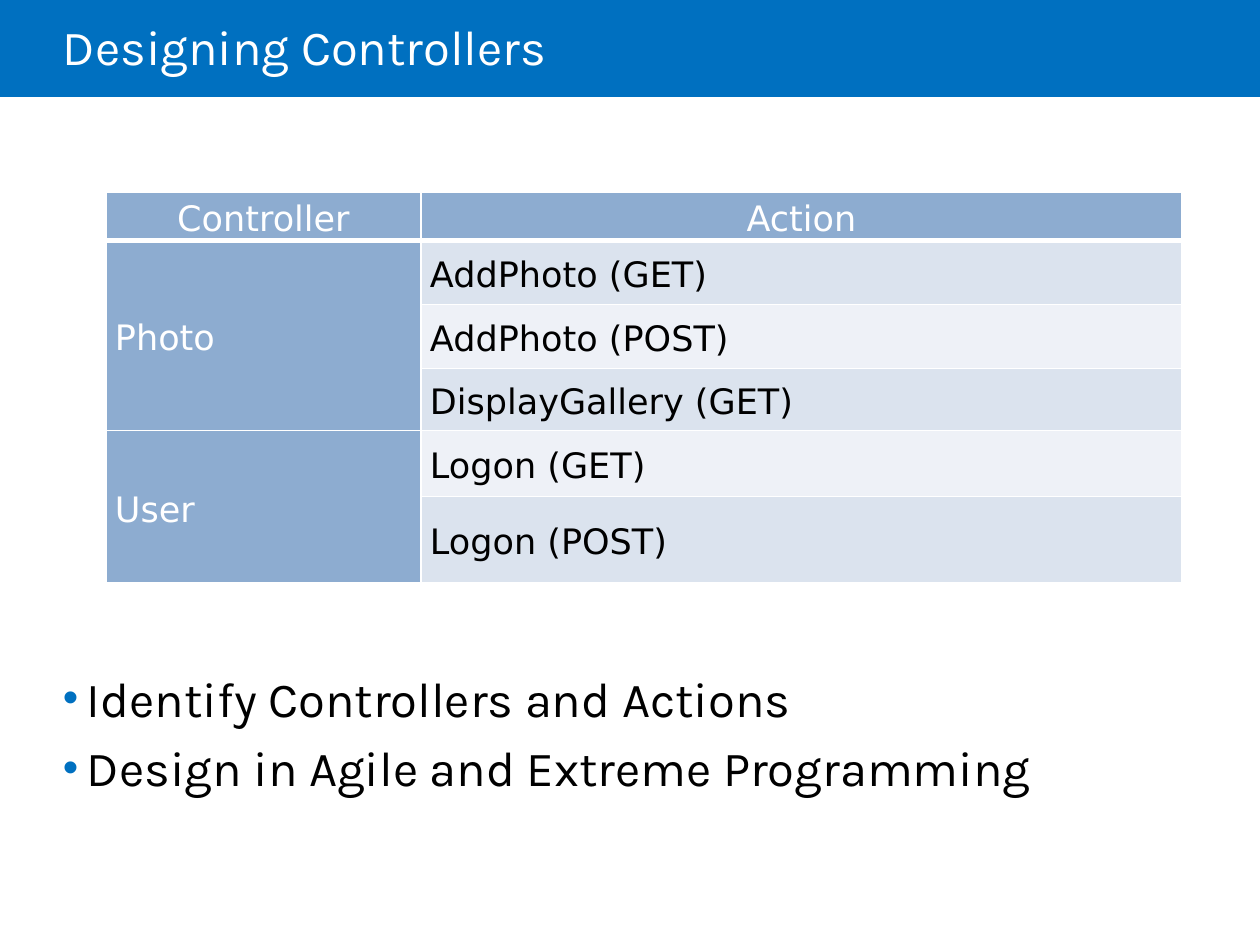
import lxml.etree
import pptx
import pptx.dml.color
import pptx.enum.shapes
import pptx.enum.text
import pptx.oxml.ns
import pptx.util

EMU_PER_PX = 914400 / 126
COLORS = {
    "blue": "0070C0",
    "white": "FFFFFF",
    "black": "000000",
    "header": "8DACD0",
    "odd": "DBE3EE",
    "even": "EEF1F7",
}
ALIGN = pptx.enum.text.PP_ALIGN
ANCHOR = pptx.enum.text.MSO_ANCHOR
CONTROLLERS = [
    ("Photo", ["AddPhoto (GET)", "AddPhoto (POST)", "DisplayGallery (GET)"]),
    ("User", ["Logon (GET)", "Logon (POST)"]),
]


def px(length):
    return pptx.util.Emu(round(length * EMU_PER_PX))


def rgb(color):
    return pptx.dml.color.RGBColor.from_string(COLORS[color])


def add_element(parent, tag, **attributes):
    return lxml.etree.SubElement(parent, pptx.oxml.ns.qn(tag), attributes)


def add_run(paragraph, text, size, font, color):
    run = paragraph.add_run()
    run.text = text
    run.font.size = pptx.util.Pt(size)
    run.font.name = font
    run.font.color.rgb = rgb(color)


def add_text_frame(slide, left, top, width, height, right_inset=0, vertical_inset=0):
    shape = slide.shapes.add_textbox(px(left), px(top), px(width), px(height))
    frame = shape.text_frame
    frame.word_wrap = True
    frame.margin_left = 0
    frame.margin_right = px(right_inset)
    frame.margin_top = frame.margin_bottom = px(vertical_inset)
    return frame


def add_title_bar(slide, left, top, width, height):
    bar = slide.shapes.add_shape(
        pptx.enum.shapes.MSO_SHAPE.RECTANGLE, px(left), px(top), px(width), px(height)
    )
    bar.shadow.inherit = False
    bar.fill.solid()
    bar.fill.fore_color.rgb = rgb("blue")
    bar.line.fill.background()
    frame = add_text_frame(slide, left + 63, top, width - 189, height + 5, 13, 6)
    frame.vertical_anchor = ANCHOR.MIDDLE
    paragraph = frame.paragraphs[0]
    paragraph.line_spacing = 0.85
    add_run(paragraph, "Designing Controllers", 28, "Karla", "white")


def set_borders(cell, bottom_width):
    properties = cell._tc.get_or_add_tcPr()
    for side, width in (("L", 1), ("R", 1), ("T", 1), ("B", bottom_width)):
        line = add_element(properties, f"a:ln{side}", w=str(pptx.util.Pt(width)))
        fill = add_element(line, "a:solidFill")
        add_element(fill, "a:srgbClr", val=COLORS["white"])


def style_cell(cell, fill, bottom_width=1):
    set_borders(cell, bottom_width)
    cell.fill.solid()
    cell.fill.fore_color.rgb = rgb(fill)
    cell.vertical_anchor = ANCHOR.MIDDLE
    cell.margin_left = cell.margin_right = px(9)
    cell.margin_top = cell.margin_bottom = 0


def write_cell(cell, text, color, alignment=ALIGN.LEFT):
    paragraph = cell.text_frame.paragraphs[0]
    paragraph.alignment = alignment
    paragraph.line_spacing = 1.15
    add_run(paragraph, text, 20, "DejaVu Sans", color)


def add_controller_table(slide, left, top, width):
    row_heights = [43, 64, 64, 62, 66, 87]
    column_widths = [315, width - 315]
    table = slide.shapes.add_table(
        len(row_heights), 2, px(left), px(top), px(width), px(sum(row_heights))
    ).table
    for row, height in zip(table.rows, row_heights):
        row.height = px(height)
    for column, column_width in zip(table.columns, column_widths):
        column.width = px(column_width)
    for index, heading in enumerate(("Controller", "Action")):
        style_cell(table.cell(0, index), "header", 3)
        write_cell(table.cell(0, index), heading, "white", ALIGN.CENTER)
    row = 1
    for controller, actions in CONTROLLERS:
        first = table.cell(row, 0)
        first.merge(table.cell(row + len(actions) - 1, 0))
        write_cell(first, controller, "white")
        for action in actions:
            style_cell(table.cell(row, 0), "header")
            style_cell(table.cell(row, 1), "odd" if row % 2 else "even")
            write_cell(table.cell(row, 1), action, "black")
            row += 1


def add_bullets(slide, left, top, width, height, items):
    frame = add_text_frame(slide, left, top, width, height)
    for index, item in enumerate(items):
        paragraph = frame.add_paragraph() if index else frame.paragraphs[0]
        paragraph.space_before = pptx.util.Pt(6)
        properties = paragraph._p.get_or_add_pPr()
        properties.set("marL", str(px(24)))
        properties.set("indent", str(px(-24)))
        color = add_element(properties, "a:buClr")
        add_element(color, "a:srgbClr", val=COLORS["blue"])
        add_element(properties, "a:buSzPct", val="90000")
        add_element(properties, "a:buFont", typeface="Arial")
        add_element(properties, "a:buChar", char="•")
        add_run(paragraph, item, 28, "Karla", "black")


def main():
    presentation = pptx.Presentation()
    presentation.slide_width = px(1260)
    presentation.slide_height = px(945)
    slide = presentation.slides.add_slide(presentation.slide_layouts[6])
    add_title_bar(slide, 0, 0, 1260, 97)
    add_bullets(slide, 63, 668, 1119, 181, [
        "Identify Controllers and Actions",
        "Design in Agile and Extreme Programming",
    ])
    add_controller_table(slide, 106, 192, 1076)
    presentation.save("out.pptx")


if __name__ == "__main__":
    main()
